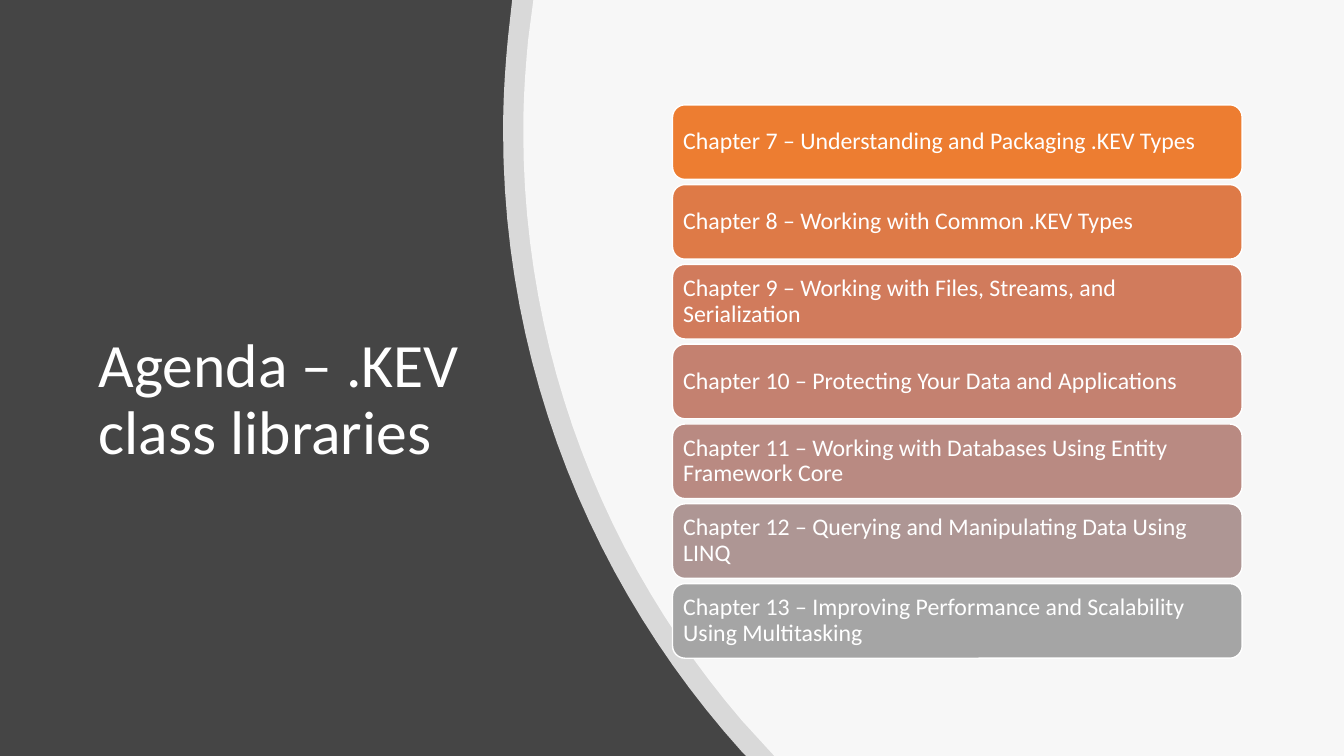
from lxml import etree
from pptx import Presentation
from pptx.dml.color import RGBColor
from pptx.enum.shapes import MSO_SHAPE
from pptx.enum.text import MSO_ANCHOR, MSO_AUTO_SIZE, PP_ALIGN
from pptx.oxml.ns import qn
from pptx.util import Inches, Pt

COLORS = {"background": "454545", "white": "FFFFFF"}
FONT = "Calibri"
OPACITY = 80
CURVE_STEPS = 24
CHAPTERS = [
    ("Chapter 7 – Understanding and Packaging .KEV Types", "ED7D31"),
    ("Chapter 8 – Working with Common .KEV Types", "DE7A47"),
    ("Chapter 9 – Working with Files, Streams, and Serialization", "D17B5C"),
    ("Chapter 10 – Protecting Your Data and Applications", "C48170"),
    ("Chapter 11 – Working with Databases Using Entity Framework Core", "B98A82"),
    ("Chapter 12 – Querying and Manipulating Data Using LINQ", "AE9694"),
    ("Chapter 13 – Improving Performance and Scalability Using Multitasking", "A5A5A5"),
]
OUTER_EDGE = [(2.41, 7.5), (2.37, 7.46), (0.9, 5.83), (0, 3.67), (0, 1.3),
              (0, 0.98), (0.02, 0.67), (0.05, 0.36), (0.09, 0)]
INNER_EDGE = [(2.49, 7.5), (2.17, 7.15), (0.82, 5.58), (0, 3.54), (0, 1.3),
              (0, 0.99), (0.02, 0.69), (0.05, 0.38), (0.1, 0)]


def rgb(hex_color):
    return RGBColor.from_string(hex_color)


def style_paragraph(paragraph, size):
    paragraph.alignment = PP_ALIGN.LEFT
    paragraph.line_spacing = 0.9
    paragraph.font.size = Pt(size)
    paragraph.font.name = FONT
    paragraph.font.color.rgb = rgb(COLORS["white"])


def curve_points(start, control_1, control_2, end):
    points = []
    for step in range(1, CURVE_STEPS + 1):
        t = step / CURVE_STEPS
        weights = ((1 - t) ** 3, 3 * t * (1 - t) ** 2, 3 * t ** 2 * (1 - t), t ** 3)
        points.append(tuple(
            sum(weight * value for weight, value in zip(weights, values))
            for values in zip(start, control_1, control_2, end)
        ))
    return points


def add_title(slide, left, top, width, height):
    title = slide.shapes.title
    title.left, title.top = Inches(left), Inches(top)
    title.width, title.height = Inches(width), Inches(height)
    frame = title.text_frame
    frame.text = "Agenda – .KEV class libraries"
    frame.word_wrap = True
    frame.auto_size = MSO_AUTO_SIZE.NONE
    frame.vertical_anchor = MSO_ANCHOR.MIDDLE
    style_paragraph(frame.paragraphs[0], 44)


def add_curved_panel(slide, left, top, width, height, edge):
    outline = [(width, 0), (width, height), *edge[:2],
               *curve_points(*edge[1:5]), *curve_points(*edge[4:8])]
    corners = [(Inches(left + x), Inches(top + y)) for x, y in [edge[-1], *outline]]
    builder = slide.shapes.build_freeform(*corners[0])
    builder.add_line_segments(corners[1:], close=True)
    panel = builder.convert_to_shape()
    panel.shadow.inherit = False
    panel.fill.solid()
    panel.fill.fore_color.rgb = rgb(COLORS["white"])
    panel.line.fill.background()
    color = panel.fill._xPr.find(qn("a:solidFill"))[0]
    etree.SubElement(color, qn("a:alpha")).set("val", str(OPACITY * 1000))


def add_chapter_list(slide, left, top, width, height):
    card_height = 0.74
    pitch = (height - card_height) / (len(CHAPTERS) - 1)
    for row, (chapter, color) in enumerate(CHAPTERS):
        card = slide.shapes.add_shape(
            MSO_SHAPE.ROUNDED_RECTANGLE, Inches(left), Inches(top + row * pitch),
            Inches(width), Inches(card_height))
        card.shadow.inherit = False
        card.fill.solid()
        card.fill.fore_color.rgb = rgb(color)
        card.line.color.rgb = rgb(COLORS["white"])
        card.line.width = Pt(1)
        frame = card.text_frame
        frame.text = chapter
        frame.word_wrap = True
        frame.vertical_anchor = MSO_ANCHOR.MIDDLE
        frame.margin_left = frame.margin_right = Inches(0.07)
        frame.margin_top = frame.margin_bottom = Inches(0.07)
        style_paragraph(frame.paragraphs[0], 17)


def main():
    deck = Presentation()
    deck.slide_width, deck.slide_height = Inches(13.33), Inches(7.5)
    slide = deck.slides.add_slide(deck.slide_layouts[5])
    slide.background.fill.solid()
    slide.background.fill.fore_color.rgb = rgb(COLORS["background"])
    add_title(slide, 0.88, 1.53, 3.92, 4.9)
    add_curved_panel(slide, 4.99, 0, 8.34, 7.5, OUTER_EDGE)
    add_curved_panel(slide, 5.19, 0, 8.14, 7.5, INNER_EDGE)
    add_chapter_list(slide, 6.67, 1.04, 5.65, 5.49)
    deck.save("out.pptx")


if __name__ == "__main__":
    main()
